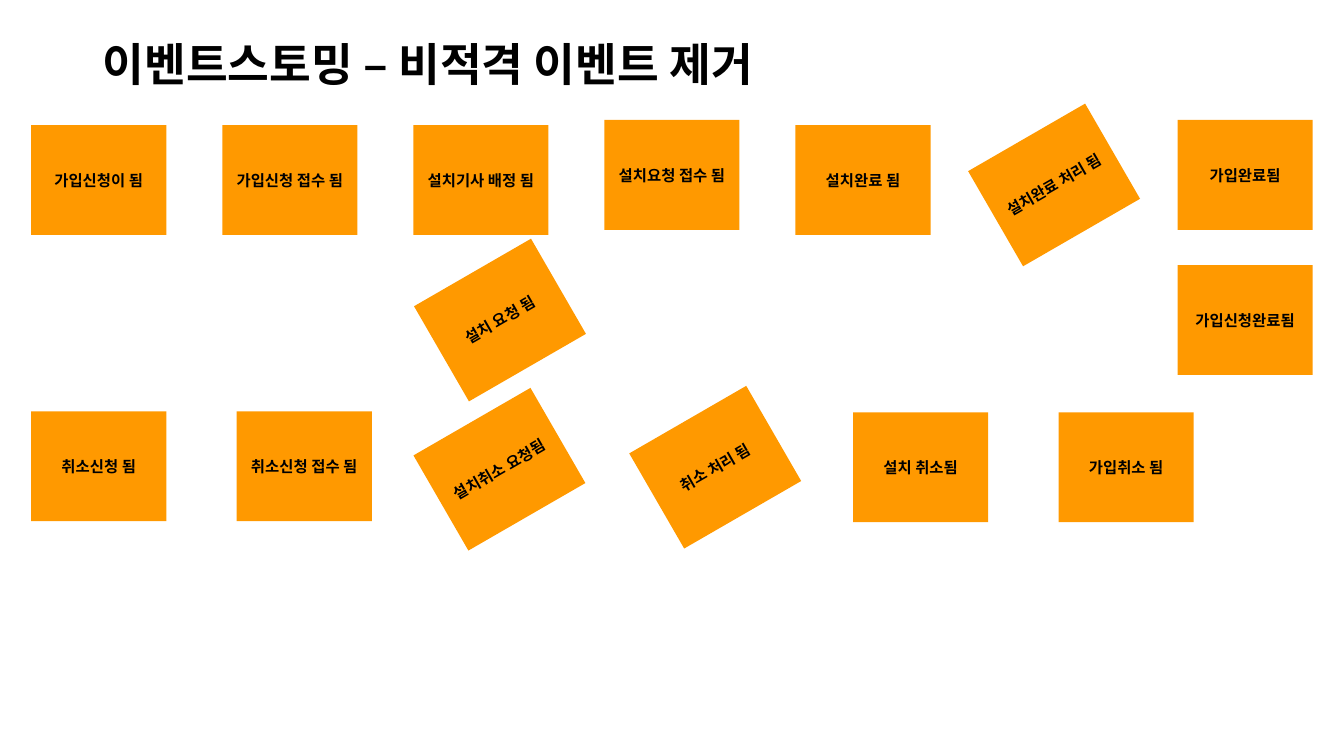
from lxml.etree import SubElement
from pptx import Presentation
from pptx.dml.color import RGBColor
from pptx.enum.shapes import MSO_SHAPE as SHAPE
from pptx.enum.text import MSO_ANCHOR as ANCHOR, PP_ALIGN as ALIGN
from pptx.oxml import parse_xml
from pptx.oxml.ns import nsdecls, qn
from pptx.util import Inches, Pt

COLORS = {"note": "FF9900", "text": "000000", "outline": "FFFFFF"}
FONT = "Noto Sans CJK KR"
LEFT = 0.31
NOTE_W, NOTE_H = 1.34, 1.09
TILT = 330

# Each row: column pitch, then (text, column, top, rotation)
JOIN_PITCH = (11.68 - LEFT) / 6
CANCEL_PITCH = (10.5 - LEFT) / 5
ROWS = [
    (JOIN_PITCH, [
        ("가입신청이 됨", 0, 1.24, 0),
        ("가입신청 접수 됨", 1, 1.24, 0),
        ("설치기사 배정 됨", 2, 1.24, 0),
        ("설치요청 접수 됨", 3, 1.19, 0),
        ("설치완료 됨", 4, 1.24, 0),
        ("설치완료 처리 됨", 5, 1.29, TILT),
        ("가입완료됨", 6, 1.19, 0),
        ("설치 요청 됨", 2.1, 2.63, TILT),
        ("가입신청완료됨", 6, 2.63, 0),
    ]),
    (CANCEL_PITCH, [
        ("취소신청 됨", 0, 4.08, 0),
        ("취소신청 접수 됨", 1, 4.08, 0),
        ("설치취소 요청됨", 1.95, 4.11, TILT),
        ("취소 처리 됨", 3, 4.09, TILT),
        ("설치 취소됨", 4, 4.09, 0),
        ("가입취소 됨", 5, 4.09, 0),
    ]),
]


class Board:
    def __init__(self, prs):
        self.s = prs.slides.add_slide(prs.slide_layouts[6])

    def label(self, shape, text, size, align):
        """Put one bold, faintly outlined line of text into a shape."""
        tf = shape.text_frame
        tf.word_wrap = True
        tf.vertical_anchor = ANCHOR.MIDDLE
        p = tf.paragraphs[0]
        p.text = text
        p.alignment = align
        p.font.name, p.font.size, p.font.bold = FONT, Pt(size), True
        p.font.color.rgb = RGBColor.from_string(COLORS["text"])
        props = p._p.pPr.find(qn("a:defRPr"))
        SubElement(props, qn("a:ea"), typeface=FONT)
        props.insert(0, parse_xml(
            f'<a:ln {nsdecls("a")} w="{Pt(0.75)}"><a:solidFill>'
            f'<a:srgbClr val="{COLORS["outline"]}"><a:alpha val="20000"/></a:srgbClr>'
            '</a:solidFill></a:ln>'))
        return p

    def title(self, text):
        box = self.s.shapes.add_textbox(Inches(0.92), Inches(0.4), Inches(11.5), Inches(0.53))
        self.label(box, text, 32.4, ALIGN.LEFT).line_spacing = 0.9

    def note(self, text, left, top, rotation):
        sp = self.s.shapes.add_shape(SHAPE.RECTANGLE, Inches(left), Inches(top),
                                     Inches(NOTE_W), Inches(NOTE_H))
        sp.rotation = rotation
        sp.shadow.inherit = False
        sp.fill.solid()
        sp.fill.fore_color.rgb = RGBColor.from_string(COLORS["note"])
        sp.line.fill.background()
        self.label(sp, text, 11, ALIGN.CENTER)


def main():
    prs = Presentation()
    prs.slide_width, prs.slide_height = Inches(13.33), Inches(7.5)
    board = Board(prs)
    board.title("이벤트스토밍 – 비적격 이벤트 제거")
    for pitch, notes in ROWS:
        for text, column, top, rotation in notes:
            board.note(text, LEFT + column * pitch, top, rotation)
    prs.save("out.pptx")


if __name__ == "__main__":
    main()
